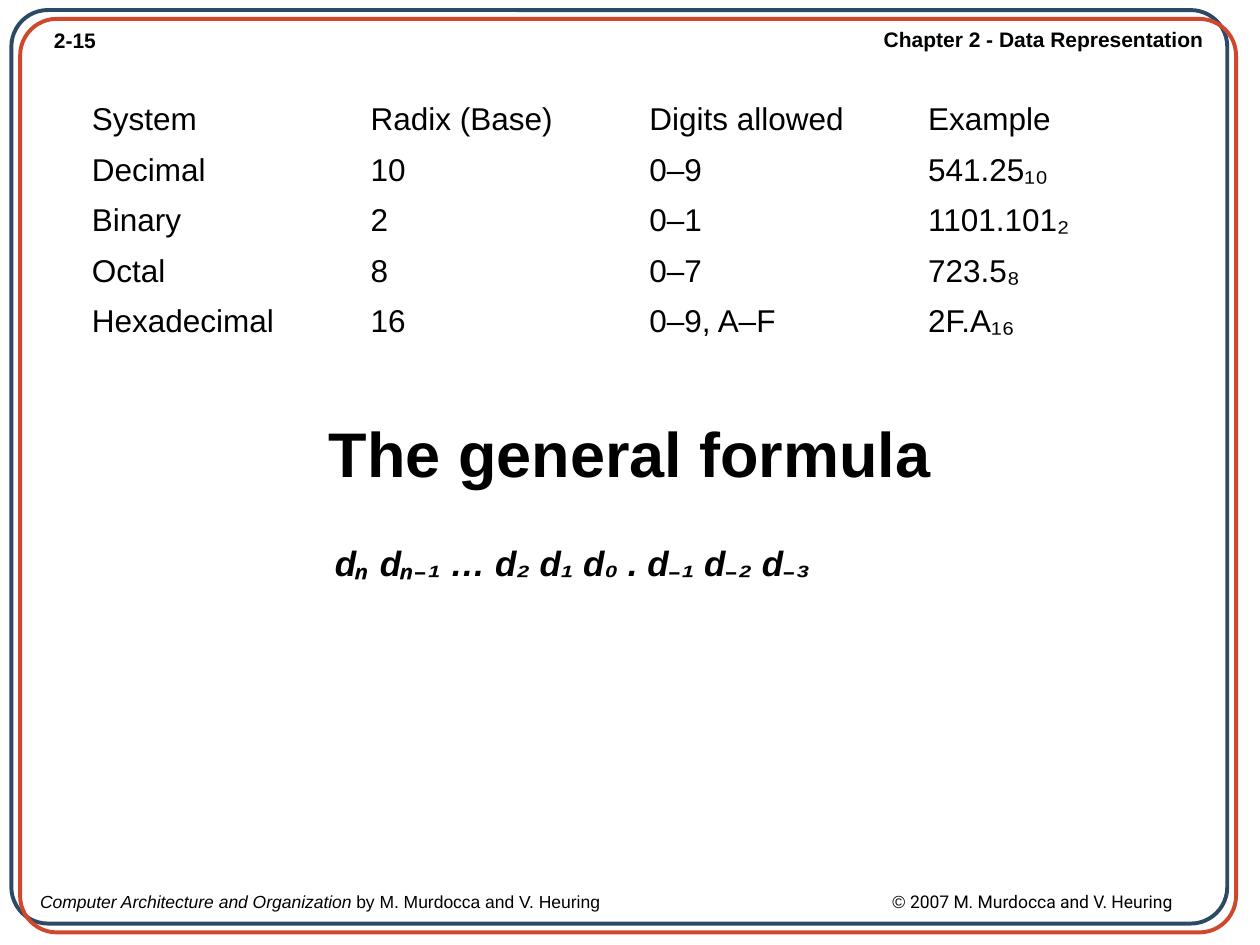
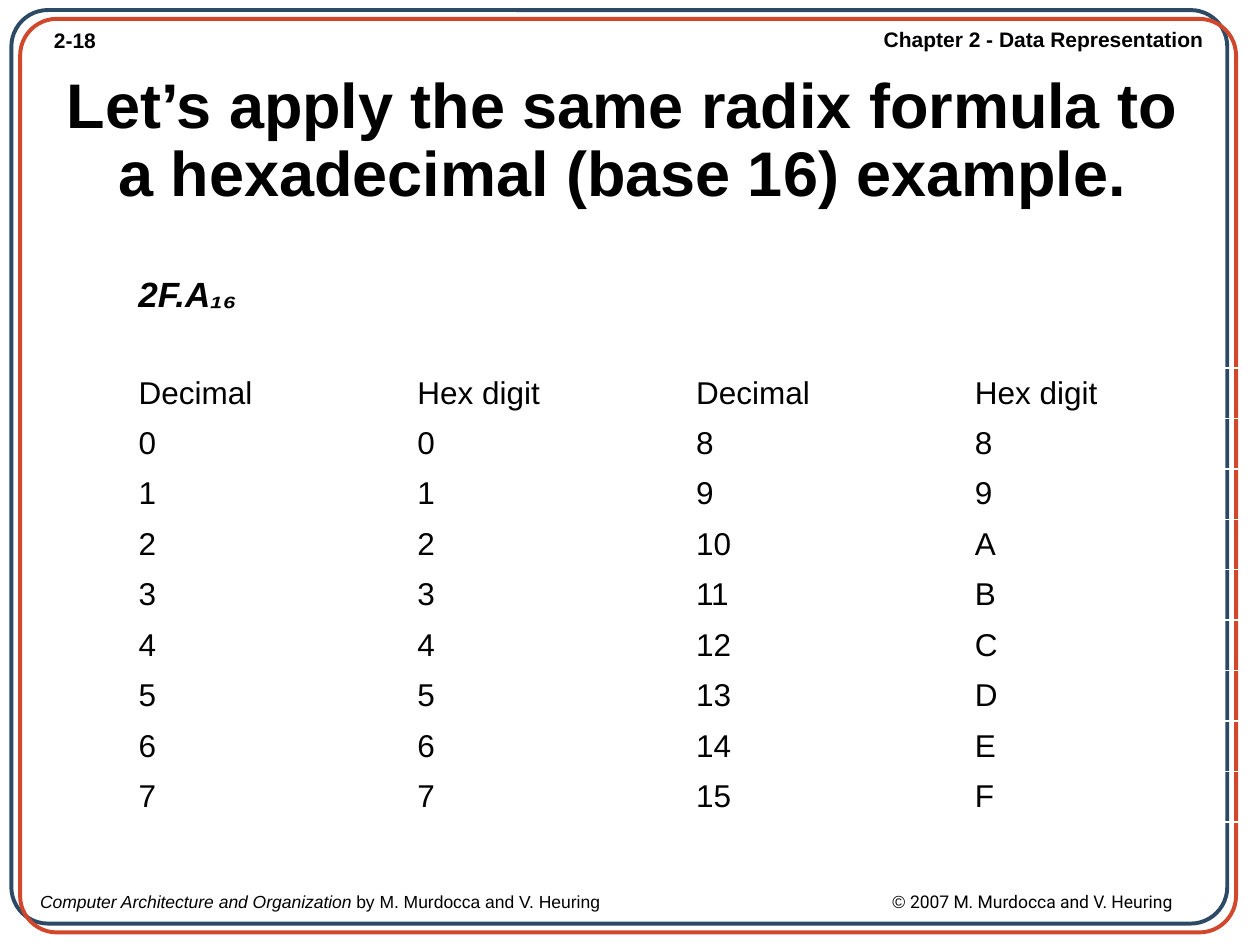
from dataclasses import dataclass

from lxml import etree
from pptx import Presentation
from pptx.dml.color import RGBColor
from pptx.enum import shapes, text
from pptx.oxml import ns
from pptx.util import Pt

CHAPTER = "Chapter 2 - Data Representation"
BOOK = "Computer Architecture and Organization "
AUTHORS = "by M. Murdocca and V. Heuring"
COPYRIGHT = "2007 M. Murdocca and V. Heuring"

HEX_DIGITS = "0123456789ABCDEF"

SLIDES = [
    {
        "number": "2-15",
        "title": ("The general formula", 21.6, 216),
        "table": (45.36, 54, [
            ("System", "Radix (Base)", "Digits allowed", "Example"),
            ("Decimal", "10", "0–9", "541.25₁₀"),
            ("Binary", "2", "0–1", "1101.101₂"),
            ("Octal", "8", "0–7", "723.5₈"),
            ("Hexadecimal", "16", "0–9, A–F", "2F.A₁₆"),
        ]),
        "formula": ("dₙ dₙ₋₁ … d₂ d₁ d₀ . d₋₁ d₋₂ d₋₃", 184.32, 306),
    },
    {
        "number": "2-18",
        "title": ("Let’s apply the same radix formula to a hexadecimal (base 16) example.", 17.28, 36),
        "table": (72, 210.24, [("Decimal", "Hex digit") * 2] + [
            (str(n), HEX_DIGITS[n], str(n + 8), HEX_DIGITS[n + 8]) for n in range(8)
        ]),
        "formula": ("2F.A₁₆", 72, 151.92),
    },
]


@dataclass(frozen=True)
class Theme:
    ink: str = "000000"
    blue: str = "2C4A66"
    red: str = "D1472B"
    font: str = "Arial"
    copyright_font: str = "Roboto"
    title: int = 36
    formula: int = 20
    table: int = 18
    header: int = 12
    footer: int = 10
    frame_line: float = 2.25


THEME = Theme()
FRAMES = [(THEME.blue, 6.48, 5.76), (THEME.red, 11.52, 10.8)]
COLUMN_WIDTH, ROW_HEIGHT = 159.3, 28.8
COPYRIGHT_TAB = 487


def style(r, size, bold=False, italic=False, font=THEME.font):
    r.font.size = Pt(size)
    r.font.name = font
    r.font.bold = bold
    r.font.italic = italic
    r.font.color.rgb = RGBColor.from_string(THEME.ink)


def add_text(s, words, left, top, width, height, size, wrap=True, align=None, **look):
    tf = s.shapes.add_textbox(Pt(left), Pt(top), Pt(width), Pt(height)).text_frame
    tf.word_wrap = wrap
    tf.text = words
    p = tf.paragraphs[0]
    p.alignment = align
    for r in p.runs:
        style(r, size, **look)
    return tf


def add_footer(s):
    tf = add_text(s, "", 15.84, 505.44, 704.16, 18.72, THEME.footer)
    p = tf.paragraphs[0]
    tabs = etree.SubElement(p._p.get_or_add_pPr(), ns.qn("a:tabLst"))
    etree.SubElement(tabs, ns.qn("a:tab"), pos=str(Pt(COPYRIGHT_TAB)), algn="l")
    for words, look in [
        (BOOK, {"italic": True}),
        (AUTHORS + "\t© ", {}),
        (COPYRIGHT, {"font": THEME.copyright_font}),
    ]:
        r = p.add_run()
        r.text = words
        style(r, THEME.footer, **look)


def add_frame(s, color, left, top):
    sp = s.shapes.add_shape(
        shapes.MSO_SHAPE.ROUNDED_RECTANGLE, Pt(left), Pt(top), Pt(694.8), Pt(522))
    sp.adjustments[0] = 0.04
    sp.shadow.inherit = False
    sp.fill.background()
    sp.line.color.rgb = RGBColor.from_string(color)
    sp.line.width = Pt(THEME.frame_line)


def add_title(s, words, left, top):
    tf = add_text(s, words, left, top, 676.8, 90, THEME.title,
                  align=text.PP_ALIGN.CENTER, bold=True)
    tf.vertical_anchor = text.MSO_ANCHOR.MIDDLE
    tf.paragraphs[0].line_spacing = 0.9


def add_grid(s, left, top, rows):
    columns = len(rows[0])
    table = s.shapes.add_table(
        len(rows), columns, Pt(left), Pt(top),
        Pt(COLUMN_WIDTH * columns), Pt(ROW_HEIGHT * len(rows))).table
    table.first_row = False
    table.horz_banding = False
    for i, row in enumerate(rows):
        for j, words in enumerate(row):
            cell = table.cell(i, j)
            cell.fill.background()
            cell.vertical_anchor = text.MSO_ANCHOR.MIDDLE
            cell.text_frame.text = words
            style(cell.text_frame.paragraphs[0].runs[0], THEME.table)


def add_slide(prs, content):
    s = prs.slides.add_slide(prs.slide_layouts[6])
    add_text(s, content["number"], 23.76, 12.24, 40.32, 21.6, THEME.header, bold=True)
    add_text(s, CHAPTER, 497.52, 11.52, 197.28, 21.6, THEME.header,
             wrap=False, align=text.PP_ALIGN.RIGHT, bold=True)
    add_footer(s)
    for frame in FRAMES:
        add_frame(s, *frame)
    add_title(s, *content["title"])
    add_grid(s, *content["table"])
    add_text(s, *content["formula"], 360, 31.68, THEME.formula, bold=True, italic=True)


def main():
    prs = Presentation()
    prs.slide_width, prs.slide_height = Pt(720), Pt(540)
    for content in SLIDES:
        add_slide(prs, content)
    prs.save("out.pptx")


if __name__ == "__main__":
    main()
